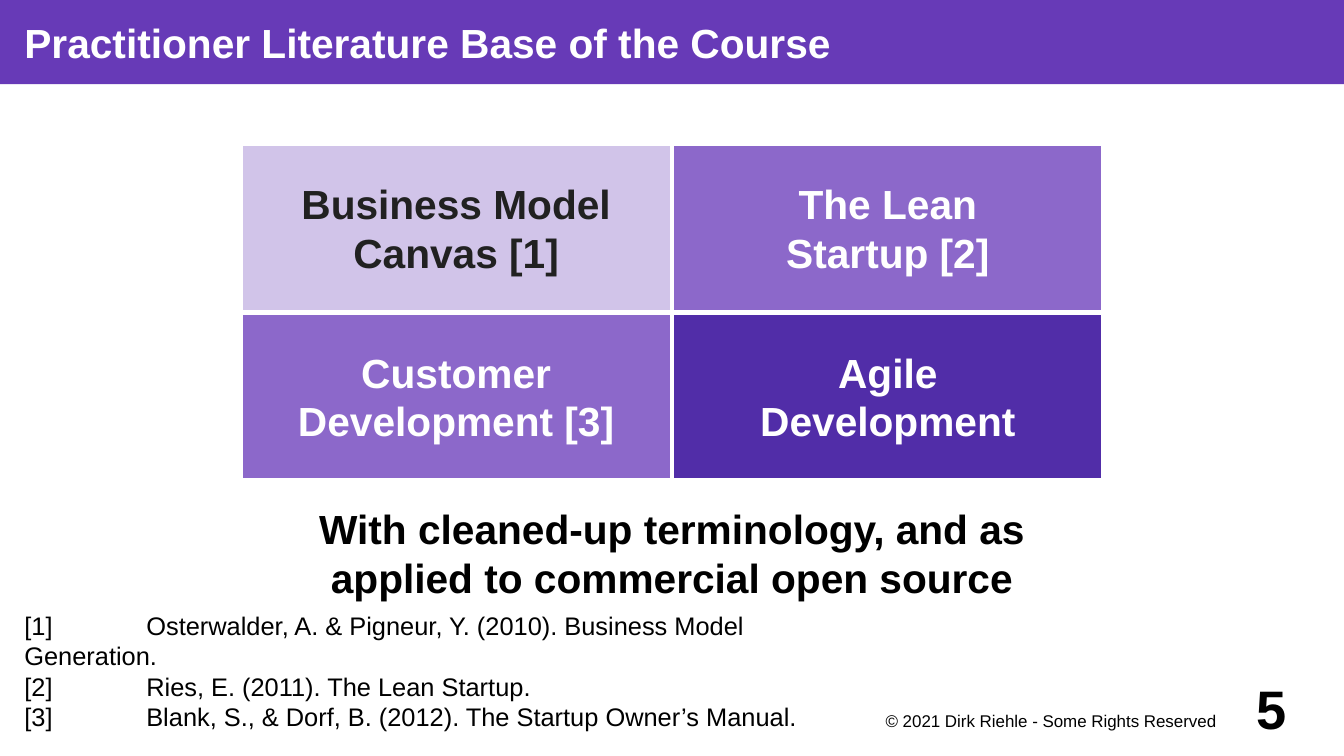
from dataclasses import dataclass

from lxml import etree
from pptx import Presentation
from pptx import util as u
from pptx.dml.color import RGBColor
from pptx.enum import shapes, text
from pptx.oxml import ns

# Content
TITLE = "Practitioner Literature Base of the Course"
TILES = [  # label, fill, text colour
    [("Business Model\nCanvas [1]", "D1C4E9", "212121"),
     ("The Lean\nStartup [2]", "8C68CA", "FFFFFF")],
    [("Customer\nDevelopment [3]", "8C68CA", "FFFFFF"),
     ("Agile\nDevelopment", "512DA8", "FFFFFF")],
]
SUMMARY = "With cleaned-up terminology, and as applied to commercial open source"
REFERENCES = [
    "[1]\tOsterwalder, A. & Pigneur, Y. (2010). Business Model Generation.",
    "[2]\tRies, E. (2011). The Lean Startup.",
    "[3]\tBlank, S., & Dorf, B. (2012). The Startup Owner’s Manual.",
]
COPYRIGHT = "© 2021 Dirk Riehle - Some Rights Reserved"
PAGE_NUMBER = "5"


@dataclass(frozen=True)
class Theme:
    font: str = "Arial"
    banner: str = "673AB7"
    white: str = "FFFFFF"
    black: str = "000000"
    heading: float = 24
    reference: float = 15
    small: float = 10
    number: float = 32
    gap: float = 2.83


THEME = Theme()
LEFT, CENTER, RIGHT = text.PP_ALIGN.LEFT, text.PP_ALIGN.CENTER, text.PP_ALIGN.RIGHT
TOP, MIDDLE, BOTTOM = text.MSO_ANCHOR.TOP, text.MSO_ANCHOR.MIDDLE, text.MSO_ANCHOR.BOTTOM
SLIDE_W, SLIDE_H = 11.02, 6.2
GRID_LEFT, GRID_TOP, TILE_W, TILE_H = 1.97, 1.18, 3.54, 1.38


def inches(*lengths):
    return [u.Inches(length) for length in lengths]


def write(shape, *lines, size=THEME.heading, color=THEME.black, bold=False,
          align=LEFT, anchor=MIDDLE, insets=(0.08,) * 4, wrap=True, tab=None):
    frame = shape.text_frame
    frame.auto_size = text.MSO_AUTO_SIZE.NONE
    frame.word_wrap = wrap
    frame.vertical_anchor = anchor
    (frame.margin_left, frame.margin_top,
     frame.margin_right, frame.margin_bottom) = inches(*insets)
    for index, line in enumerate(lines):
        para = frame.add_paragraph() if index else frame.paragraphs[0]
        para.text = line
        para.alignment = align
        if tab:
            stops = etree.SubElement(para._p.get_or_add_pPr(), ns.qn("a:tabLst"))
            etree.SubElement(stops, ns.qn("a:tab"), pos=str(u.Inches(tab)), algn="l")
        for span in para.runs:
            span.font.name = THEME.font
            span.font.size = u.Pt(size)
            span.font.bold = bold
            span.font.color.rgb = RGBColor.from_string(color)


def paint(shape, color):
    shape.fill.solid()
    shape.fill.fore_color.rgb = RGBColor.from_string(color)


def main():
    deck = Presentation()
    deck.slide_width, deck.slide_height = inches(SLIDE_W, SLIDE_H)
    page = deck.slides.add_slide(deck.slide_layouts[5])

    # Title banner
    banner = page.shapes.title
    banner.left, banner.top, banner.width, banner.height = inches(0, 0, SLIDE_W, 0.69)
    paint(banner, THEME.banner)
    write(banner, TITLE, color=THEME.white, bold=True, insets=(0.2, 0, 0, 0))

    # Two-by-two grid, separated by white outlines
    for row, tiles in enumerate(TILES):
        for column, (label, fill, color) in enumerate(tiles):
            tile = page.shapes.add_shape(
                shapes.MSO_SHAPE.RECTANGLE,
                *inches(GRID_LEFT + column * TILE_W, GRID_TOP + row * TILE_H, TILE_W, TILE_H))
            tile.shadow.inherit = False
            paint(tile, fill)
            tile.line.color.rgb = RGBColor.from_string(THEME.white)
            tile.line.width = u.Pt(THEME.gap)
            write(tile, label, color=color, bold=True, align=CENTER, wrap=False)

    # Summary under the grid
    summary = page.shapes.add_textbox(
        *inches(GRID_LEFT, GRID_TOP + 2 * TILE_H, 2 * TILE_W, 1.18))
    write(summary, SUMMARY, bold=True, align=CENTER)

    # References, with their titles on a common tab stop
    references = page.shapes.add_textbox(*inches(0, SLIDE_H - 1.18, 7.09, 1.18))
    write(references, *REFERENCES, size=THEME.reference, anchor=BOTTOM,
          insets=(0.2,) * 4, tab=1)

    # Footer
    notice = page.shapes.add_textbox(*inches(7.09, 5.81, 3.15, 0.3))
    write(notice, COPYRIGHT, size=THEME.small, align=RIGHT, anchor=TOP,
          insets=(0, 0.02, 0.27, 0))
    number = page.shapes.add_textbox(*inches(10.04, 5.51, 0.79, 0.59))
    write(number, PAGE_NUMBER, size=THEME.number, bold=True, align=RIGHT,
          insets=(0, 0, 0.28, 0))

    deck.save("out.pptx")


if __name__ == "__main__":
    main()
